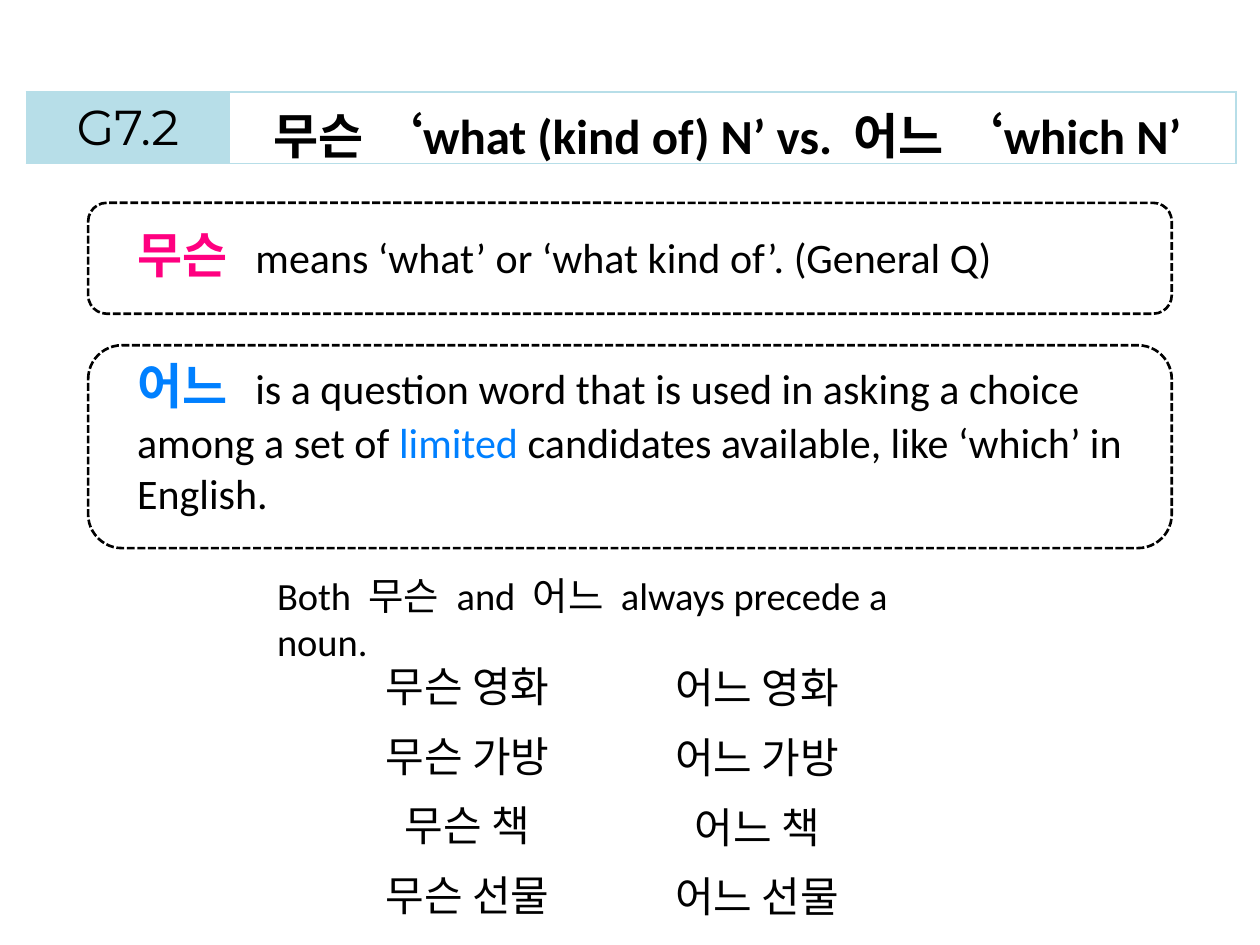
from lxml import etree
from pptx import Presentation
from pptx.dml.color import RGBColor
from pptx.enum import dml, shapes, text
from pptx.oxml.ns import qn
from pptx.util import Inches, Pt

BLACK = RGBColor(0, 0, 0)
PINK = RGBColor(0xFF, 0x00, 0x80)
BLUE = RGBColor(0x00, 0x80, 0xFF)
PALE_BLUE = RGBColor(0xB7, 0xDE, 0xE8)
LATIN = "Calibri"
KOREAN = "Noto Sans CJK KR"
NOUNS = ["영화", "가방", "책", "선물"]


def add_run(paragraph, words, size, color=BLACK, bold=False, font=LATIN, spacing=0):
    run = paragraph.add_run()
    run.text = words
    run.font.size = Pt(size)
    run.font.bold = bold
    run.font.color.rgb = color
    run.font.name = font
    properties = run._r.get_or_add_rPr()
    etree.SubElement(properties, qn("a:ea")).set("typeface", KOREAN)
    if spacing:
        properties.set("spc", str(spacing * 100))


def add_gap(paragraph, size, spacing, bold=False):
    """Add one space, widened by character spacing."""
    add_run(paragraph, " ", size, bold=bold, spacing=spacing)


def add_text_box(slide, left, top, width, height, wrap=True):
    box = slide.shapes.add_textbox(
        Inches(left), Inches(top), Inches(width), Inches(height))
    frame = box.text_frame
    frame.word_wrap = wrap
    frame.auto_size = text.MSO_AUTO_SIZE.SHAPE_TO_FIT_TEXT
    return frame


def add_dashed_frame(slide, top, height):
    shape = slide.shapes.add_shape(
        shapes.MSO_SHAPE.ROUNDED_RECTANGLE,
        Inches(0.7), Inches(top), Inches(8.6), Inches(height))
    shape.shadow.inherit = False
    shape.fill.background()
    shape.line.color.rgb = BLACK
    shape.line.width = Pt(1.5)
    shape.line.dash_style = dml.MSO_LINE.SQUARE_DOT


def set_borders(cell):
    properties = cell._tc.get_or_add_tcPr()
    for index, side in enumerate(("lnL", "lnR", "lnT", "lnB")):
        line = etree.Element(qn(f"a:{side}"), w=str(Pt(1)))
        fill = etree.SubElement(line, qn("a:solidFill"))
        etree.SubElement(fill, qn("a:srgbClr")).set("val", str(PALE_BLUE))
        properties.insert(index, line)


def add_heading(slide):
    table = slide.shapes.add_table(
        1, 2, Inches(0.21), Inches(0.73), Inches(9.6), Inches(0.55)).table
    table.first_row = table.horz_banding = False
    for column, width in zip(table.columns, (1.61, 7.99)):
        column.width = Inches(width)
    number, title = table.cell(0, 0), table.cell(0, 1)
    number.fill.solid()
    number.fill.fore_color.rgb = PALE_BLUE
    title.fill.background()
    title.vertical_anchor = text.MSO_ANCHOR.MIDDLE
    for cell in (number, title):
        set_borders(cell)
        cell.text_frame.paragraphs[0].alignment = text.PP_ALIGN.CENTER

    add_run(number.text_frame.paragraphs[0], "G7.2", 28, font="Montserrat")
    paragraph = title.text_frame.paragraphs[0]
    add_run(paragraph, "무슨 ‘what (kind of) N’ vs.", 28, bold=True)
    add_gap(paragraph, 28, 6, bold=True)
    add_run(paragraph, "어느 ‘which N’ ", 28, bold=True)


def add_definitions(slide):
    paragraph = add_text_box(slide, 0.99, 1.62, 7.18, 0.71, wrap=False).paragraphs[0]
    add_run(paragraph, "무슨", 28, PINK, bold=True, font=KOREAN)
    add_gap(paragraph, 36, 8, bold=True)
    add_run(paragraph, "means ‘what’ or ‘what kind of’. (General Q)", 24)

    paragraph = add_text_box(slide, 0.99, 2.66, 8.09, 1.51).paragraphs[0]
    add_run(paragraph, "어느", 28, BLUE, bold=True)
    add_gap(paragraph, 36, 8)
    add_run(paragraph, "is a question word that is used in asking a choice "
                       "among a set of ", 24)
    add_run(paragraph, "limited ", 24, BLUE)
    add_run(paragraph, "candidates available, like ‘which’ in English.", 24)


def add_rule(slide):
    paragraph = add_text_box(slide, 2.1, 4.49, 5.79, 0.47).paragraphs[0]
    add_run(paragraph, "Both", 22)
    for words in ("무슨", "and", "어느", "always precede a noun."):
        add_gap(paragraph, 22, 5)
        add_run(paragraph, words, 22)


def add_examples(slide, left, top, question_word):
    frame = add_text_box(slide, left, top, 1.56, 2.31, wrap=False)
    for index, noun in enumerate(NOUNS):
        paragraph = frame.add_paragraph() if index else frame.paragraphs[0]
        paragraph.alignment = text.PP_ALIGN.CENTER
        paragraph.line_spacing = Pt(39.8)
        add_run(paragraph, f"{question_word} {noun}", 24, font=KOREAN)


def main():
    presentation = Presentation()
    presentation.slide_width = Inches(10)
    presentation.slide_height = Inches(7.5)
    slide = presentation.slides.add_slide(presentation.slide_layouts[6])

    # Dashed frames and the two definitions
    add_dashed_frame(slide, 1.61, 0.88)
    add_dashed_frame(slide, 2.74, 1.61)
    add_definitions(slide)

    # Heading, shared rule and example columns
    add_heading(slide)
    add_rule(slide)
    add_examples(slide, 2.93, 5.04, "무슨")
    add_examples(slide, 5.23, 5.05, "어느")

    presentation.save("out.pptx")


if __name__ == "__main__":
    main()
